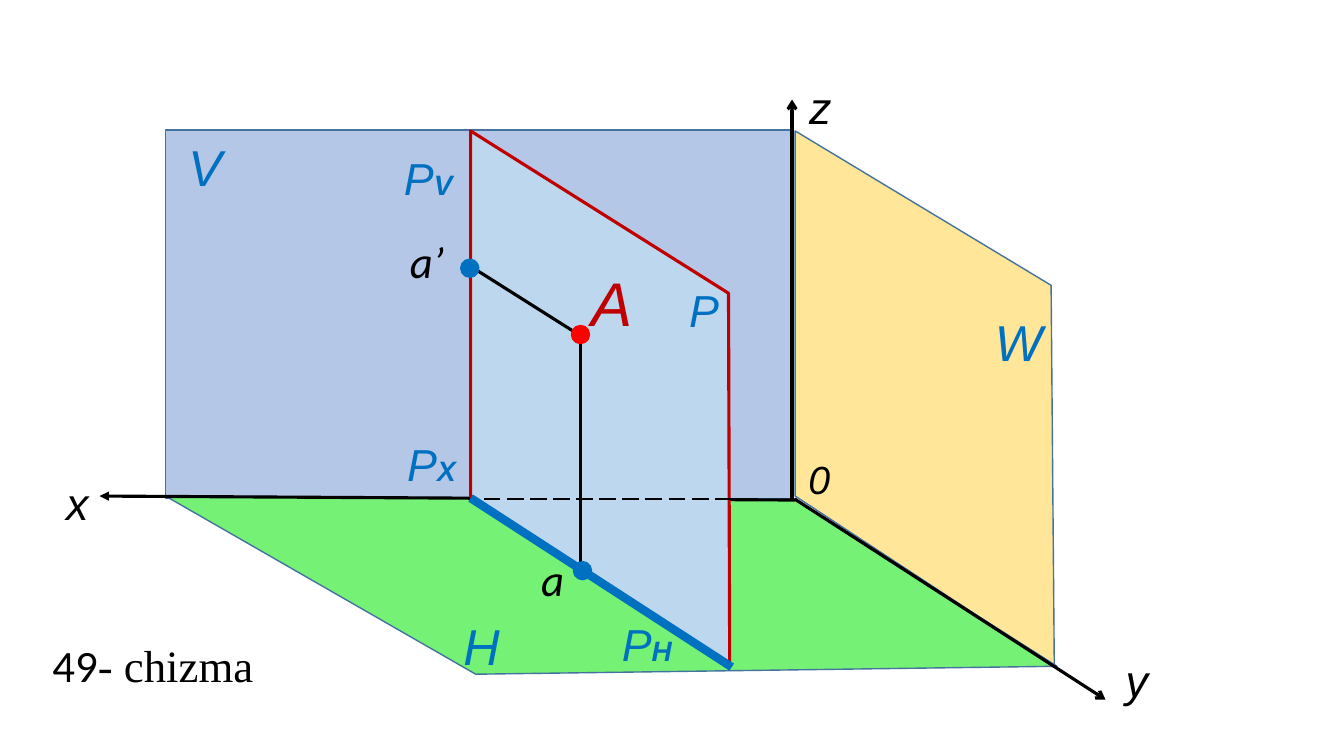
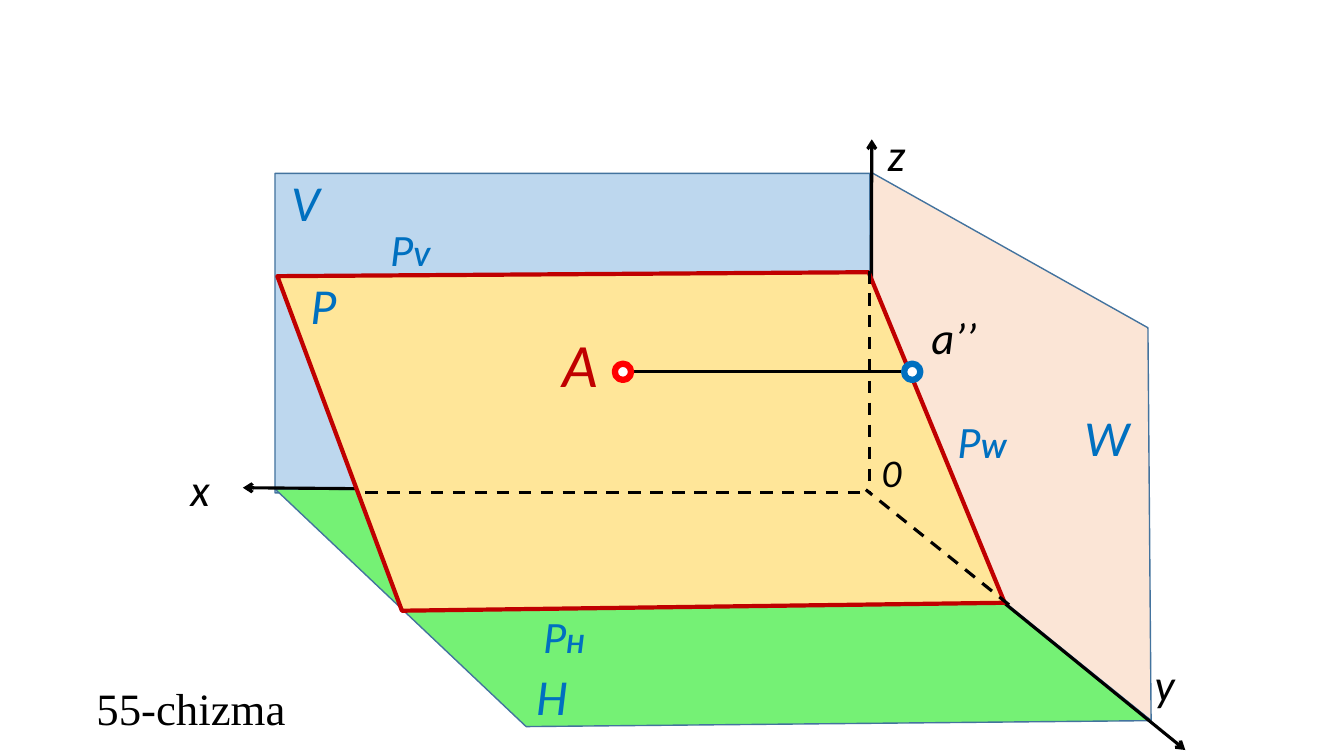
"""Two projection drawings: a point A on a plane P set among the planes V, H and W."""
from lxml import etree
from pptx import Presentation
from pptx.dml.color import RGBColor
from pptx.enum import dml, shapes, text
from pptx.oxml import ns
from pptx.util import Cm, Pt

BLACK = RGBColor(0x00, 0x00, 0x00)
WHITE = RGBColor(0xFF, 0xFF, 0xFF)
BLUE = RGBColor(0x00, 0x70, 0xC0)
RED = RGBColor(0xFF, 0x00, 0x00)
DARK_RED = RGBColor(0xC0, 0x00, 0x00)
EDGE = RGBColor(0x43, 0x73, 0x9E)
GREEN = RGBColor(0x75, 0xF1, 0x75)
YELLOW = RGBColor(0xFF, 0xE6, 0x99)
PEACH = RGBColor(0xFB, 0xE5, 0xD6)
LILAC = RGBColor(0xB4, 0xC7, 0xE7)
SKY = RGBColor(0xBD, 0xD7, 0xEE)

SERIF = "Times New Roman"
DOT_SIZE = 0.41
LABEL_WIDTH, CAPTION_WIDTH = 2.26, 7.06
LINE_HEIGHT = 0.05
DASH, LONG_DASH = dml.MSO_LINE.DASH, dml.MSO_LINE.LONG_DASH

LABEL_STYLES = {
    "plane": (36, BLUE),
    "trace": (32, BLUE),
    "axis": (32, BLACK),
    "origin": (28, BLACK),
    "point": (44, DARK_RED),
    "projection": (32, BLACK),
}

DRAWINGS = [
    {
        "font": "Arial",
        "walls": [
            (YELLOW, [(20.04, 3.3), (26.49, 7.19), (26.57, 16.79), (20.04, 12.5)]),
            (LILAC, [(4.17, 3.28), (19.99, 12.57)]),
            (GREEN, [(4.17, 12.5), (20.04, 12.6), (26.64, 16.79), (11.99, 16.99)]),
        ],
        "axes": [
            ((2.51, 12.5), (20.04, 12.6), "triangle"),
            ((19.96, 2.51), (19.96, 12.62), "arrow"),
            ((27.86, 17.63), (20.02, 12.57), "arrow"),
        ],
        "section": (SKY, [(11.86, 3.3), (18.36, 7.39), (18.39, 16.79), (11.86, 12.5)], 2.25),
        "lines": [
            ((18.44, 12.57), (11.79, 12.57), BLACK, 1.5, LONG_DASH),
            ((14.63, 14.4), (14.63, 8.46), BLACK, 2.25, None),
            ((11.86, 12.55), (18.44, 16.81), BLUE, 6, None),
            ((14.66, 8.48), (11.89, 6.73), BLACK, 2.25, None),
        ],
        "dots": [
            ((14.68, 14.38), BLUE, BLUE, 2.25),
            ((11.84, 6.76), BLUE, BLUE, 2.25),
            ((14.63, 8.43), RED, RED, 2.25),
        ],
        "labels": [
            ("origin", 20.12, 11.35, "0", ""),
            ("axis", 1.42, 11.86, "x", ""),
            ("axis", 28.12, 16.33, "y", ""),
            ("axis", 20.14, 1.88, "z", ""),
            ("plane", 4.5, 3.3, "V", ""),
            ("plane", 24.82, 7.72, "W", ""),
            ("plane", 11.43, 15.37, "H", ""),
            ("trace", 17.12, 7.01, "P", ""),
            ("trace", 15.42, 15.42, "P", "H"),
            ("trace", 9.93, 3.68, "P", "V"),
            ("trace", 10.01, 10.87, "P", "X"),
            ("point", 14.66, 6.55, "A", ""),
            ("projection", 13.39, 13.79, "a", ""),
            ("projection", 10.08, 5.77, "a’", ""),
        ],
        "caption": (1.07, 15.95, [("49", "Calibri"), ("- chizma", SERIF)]),
    },
    {
        "font": "Calibri",
        "walls": [
            (PEACH, [(21.95, 4.34), (28.93, 8.26), (29.01, 18.16), (21.89, 12.4)]),
            (SKY, [(6.93, 4.37), (21.92, 4.37), (21.95, 12.4), (6.93, 12.42)]),
            (GREEN, [(6.93, 12.32), (21.87, 12.42), (29.01, 18.16), (13.26, 18.31)]),
        ],
        "axes": [
            ((29.87, 18.9), (21.89, 12.42), "arrow"),
            ((6.12, 12.29), (21.92, 12.42), "arrow"),
            ((21.97, 3.51), (21.95, 12.42), "arrow"),
        ],
        "section": (YELLOW, [(21.89, 6.86), (25.32, 15.19), (10.13, 15.39), (6.99, 6.96)], 3),
        "lines": [
            ((9.2, 12.4), (21.92, 12.4), BLACK, 2.25, DASH),
            ((25.43, 15.24), (21.82, 12.34), BLACK, 2.25, DASH),
            ((21.92, 6.83), (21.92, 12.27), BLACK, 2.25, DASH),
            ((15.9, 9.37), (23.11, 9.37), BLACK, 2.25, None),
        ],
        "dots": [
            ((22.99, 9.37), WHITE, BLUE, 4.5),
            ((15.7, 9.37), WHITE, RED, 4.5),
        ],
        "labels": [
            ("axis", 4.55, 11.51, "x", ""),
            ("axis", 28.85, 16.43, "y", ""),
            ("axis", 22.12, 3.07, "z", ""),
            ("origin", 21.97, 11.18, "0", ""),
            ("plane", 7.09, 4.19, "V", ""),
            ("plane", 13.26, 16.64, "H", ""),
            ("plane", 27.08, 10.11, "W", ""),
            ("plane", 7.57, 6.78, "P", ""),
            ("trace", 13.44, 15.21, "P", "H"),
            ("trace", 9.58, 5.46, "P", "V"),
            ("trace", 23.88, 10.29, "P", "W"),
            ("point", 13.92, 8.08, "A", ""),
            ("projection", 23.22, 7.67, "a’’", ""),
        ],
        "caption": (2.18, 17.04, [("55-chizma", SERIF)]),
    },
]


def paint(shape, fill, edge, weight):
    shape.shadow.inherit = False
    shape.fill.solid()
    shape.fill.fore_color.rgb = fill
    shape.line.color.rgb = edge
    shape.line.width = Pt(weight)


def add_plane(slide, fill, corners, edge=EDGE, weight=1):
    points = [(Cm(x), Cm(y)) for x, y in corners]
    if len(points) == 2:
        (left, top), (right, bottom) = points
        plane = slide.shapes.add_shape(
            shapes.MSO_SHAPE.RECTANGLE, left, top, right - left, bottom - top)
    else:
        outline = slide.shapes.build_freeform(*points[0])
        outline.add_line_segments(points[1:], close=True)
        plane = outline.convert_to_shape()
    paint(plane, fill, edge, weight)


def add_line(slide, start, end, color=BLACK, weight=2.25, dash=None, head=None):
    line = slide.shapes.add_connector(
        shapes.MSO_CONNECTOR.STRAIGHT, *(Cm(value) for value in start + end))
    line.line.color.rgb = color
    line.line.width = Pt(weight)
    if dash:
        line.line.dash_style = dash
    properties = line._element.spPr
    if head:
        etree.SubElement(properties.find(ns.qn("a:ln")), ns.qn("a:headEnd"), type=head)
    etree.SubElement(properties, ns.qn("a:effectLst"))


def add_dot(slide, center, fill, edge, weight):
    left, top = (Cm(value - DOT_SIZE / 2) for value in center)
    dot = slide.shapes.add_shape(
        shapes.MSO_SHAPE.OVAL, left, top, Cm(DOT_SIZE), Cm(DOT_SIZE))
    paint(dot, fill, edge, weight)


def add_paragraph_box(slide, left, top, width, size, color):
    box = slide.shapes.add_textbox(Cm(left), Cm(top), Cm(width), Cm(size * LINE_HEIGHT))
    box.text_frame.word_wrap = True
    box.text_frame.auto_size = text.MSO_AUTO_SIZE.SHAPE_TO_FIT_TEXT
    paragraph = box.text_frame.paragraphs[0]
    paragraph.font.size = Pt(size)
    paragraph.font.color.rgb = color
    return paragraph


def add_label(slide, font, style, left, top, letter, index):
    size, color = LABEL_STYLES[style]
    paragraph = add_paragraph_box(slide, left, top, LABEL_WIDTH, size, color)
    paragraph.font.name = "Calibri" if style == "projection" else font
    paragraph.font.italic = True
    paragraph.add_run().text = letter
    if index:
        suffix = paragraph.add_run()
        suffix.text = index
        suffix.font.size = Pt(20)
        suffix.font.bold = True


def add_caption(slide, left, top, parts):
    paragraph = add_paragraph_box(slide, left, top, CAPTION_WIDTH, 32, BLACK)
    for wording, font in parts:
        run = paragraph.add_run()
        run.text = wording
        run.font.name = font


def add_drawing(slide, drawing):
    for wall in drawing["walls"]:
        add_plane(slide, *wall)
    for start, end, head in drawing["axes"]:
        add_line(slide, start, end, head=head)
    fill, corners, weight = drawing["section"]
    add_plane(slide, fill, corners, DARK_RED, weight)
    for line in drawing["lines"]:
        add_line(slide, *line)
    for dot in drawing["dots"]:
        add_dot(slide, *dot)
    for label in drawing["labels"]:
        add_label(slide, drawing["font"], *label)
    add_caption(slide, *drawing["caption"])


def main():
    deck = Presentation()
    deck.slide_width, deck.slide_height = Cm(33.87), Cm(19.05)
    for drawing in DRAWINGS:
        add_drawing(deck.slides.add_slide(deck.slide_layouts[6]), drawing)
    deck.save("out.pptx")


if __name__ == "__main__":
    main()
